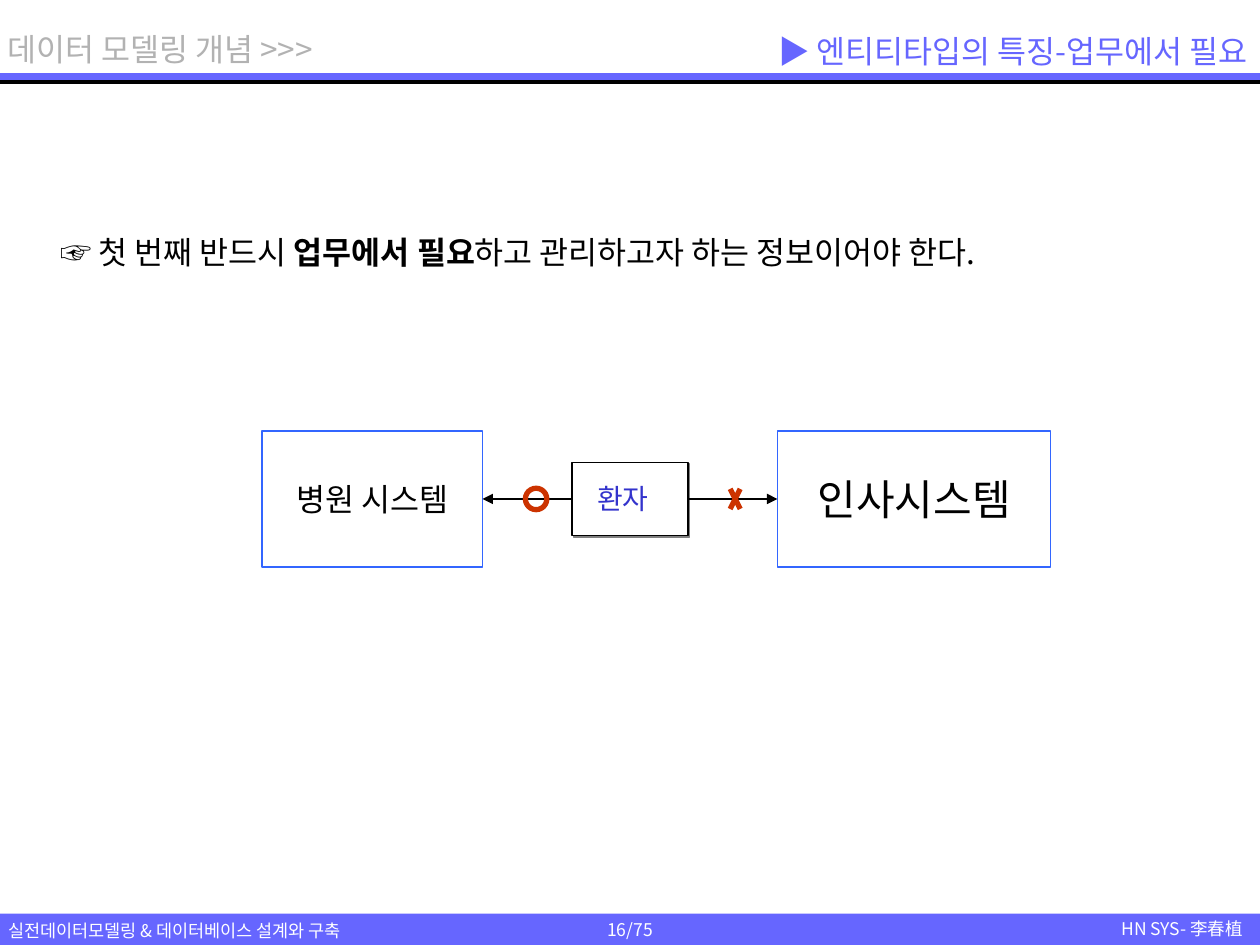
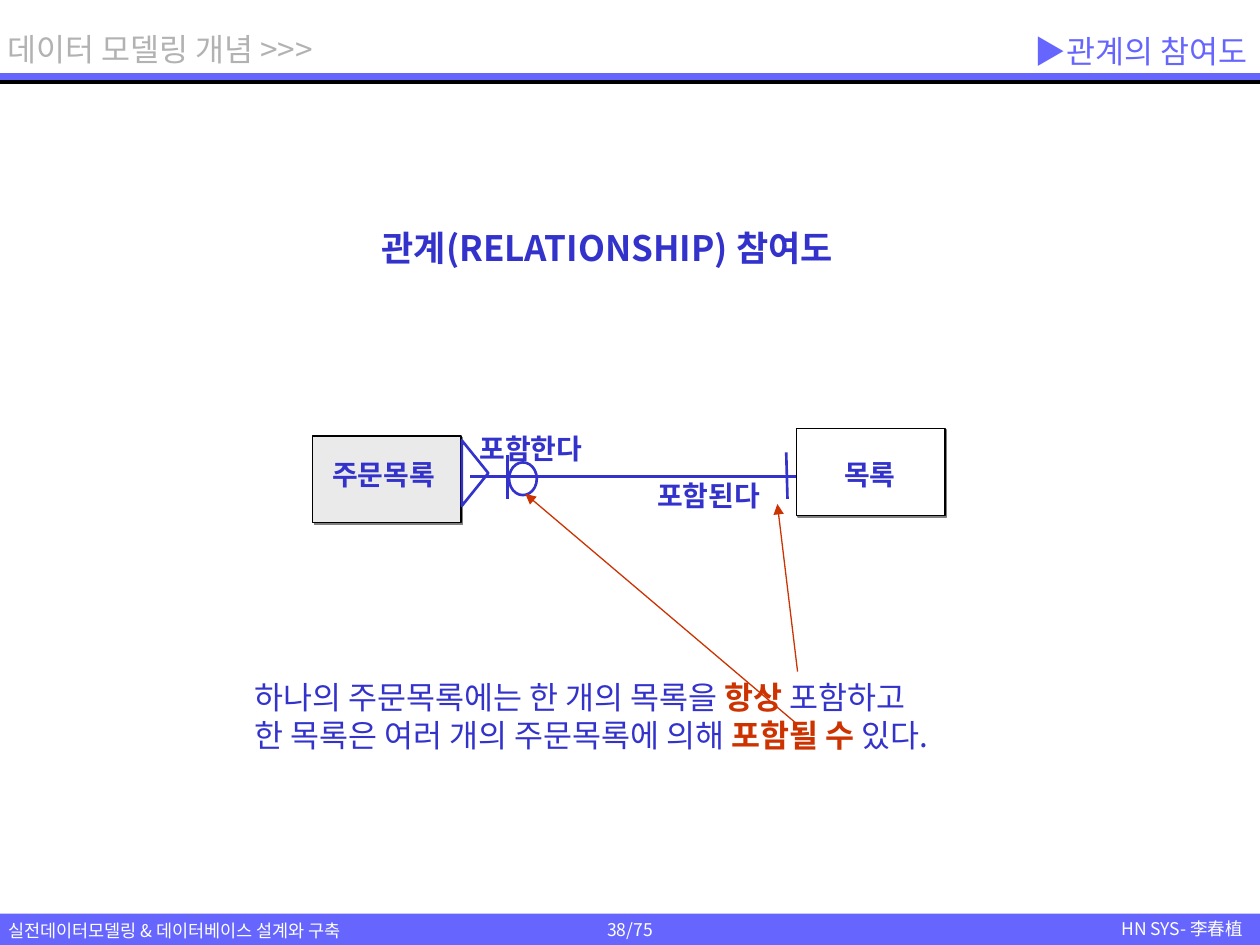
import collections

import lxml.etree
import pptx
import pptx.dml.color
import pptx.enum.shapes
import pptx.enum.text
import pptx.oxml.ns
import pptx.util

RGBColor = pptx.dml.color.RGBColor
PRESET = pptx.enum.shapes.MSO_SHAPE
ALIGN = pptx.enum.text.PP_ALIGN
ANCHOR = pptx.enum.text.MSO_ANCHOR
qn = pptx.oxml.ns.qn

FONT = "Noto Sans CJK KR"
BAND = RGBColor(0x66, 0x66, 0xFF)
CHAPTER_GRAY = RGBColor(0xB2, 0xB2, 0xB2)
SYSTEM_BLUE = RGBColor(0x33, 0x66, 0xFF)
INDIGO = RGBColor(0x33, 0x33, 0xCC)
RED = RGBColor(0xCC, 0x33, 0x00)
LIGHT_GRAY = RGBColor(0xEA, 0xEA, 0xEA)
SHADOW_GRAY = RGBColor(0x80, 0x80, 0x80)
BLACK = RGBColor(0, 0, 0)
WHITE = RGBColor(255, 255, 255)

SLIDE_WIDTH, SLIDE_HEIGHT = pptx.util.Inches(10), pptx.util.Inches(7.5)
COLUMN, ROW = SLIDE_WIDTH / 100, SLIDE_HEIGHT / 75
TITLE_ONLY = 5
LEFT, RIGHT = 1, 3
PAGE_COUNT = 75


class Box(collections.namedtuple("Box", "column row columns rows")):
    """An area measured in grid columns and rows."""

    def area(self, column, row, columns, rows):
        return Box(self.column + column, self.row + row, columns, rows)

    def point(self, column, row):
        return self.column + column, self.row + row

    def emu(self):
        return (round(self.column * COLUMN), round(self.row * ROW),
                round(self.columns * COLUMN), round(self.rows * ROW))


HEADER = Box(0, 0, 100, 6.6)
FOOTER = Box(0, 72.5, 100, 2.5)


def write(shape, *lines, size=18, color=BLACK, bold=False, accent=None,
          align=ALIGN.LEFT, anchor=ANCHOR.TOP, wrap=True):
    """Fill a shape with lines; words between ** are bold and in the accent colour."""
    frame = shape.text_frame
    frame.auto_size = pptx.enum.text.MSO_AUTO_SIZE.NONE
    frame.word_wrap = wrap
    frame.vertical_anchor = anchor
    for index, line in enumerate(lines):
        paragraph = frame.add_paragraph() if index else frame.paragraphs[0]
        paragraph.alignment = align
        for position, words in enumerate(line.split("**")):
            stressed = position % 2 == 1
            run = paragraph.add_run()
            run.text = words
            run.font.size = pptx.util.Pt(size)
            run.font.bold = bold or stressed
            run.font.color.rgb = accent if stressed and accent else color
            run.font.name = FONT
            east_asian = lxml.etree.SubElement(run.font._element, qn("a:ea"))
            east_asian.set("typeface", FONT)


def add_text(slide, box, *lines, **text_format):
    write(slide.shapes.add_textbox(*box.emu()), *lines, **text_format)


def add_preset(slide, preset, box, fill=None, line=None, width=0.75):
    shape = slide.shapes.add_shape(preset, *box.emu())
    shape.shadow.inherit = False
    if fill is None:
        shape.fill.background()
    else:
        shape.fill.solid()
        shape.fill.fore_color.rgb = fill
    if line is None:
        shape.line.fill.background()
    else:
        shape.line.color.rgb = line
        shape.line.width = pptx.util.Pt(width)
    return shape


def add_line(slide, start=(0, 0), end=(0, 0), color=BLACK, width=0.75, arrow=False):
    ends = [round(value * unit) for point in (start, end)
            for value, unit in zip(point, (COLUMN, ROW))]
    line = slide.shapes.add_connector(pptx.enum.shapes.MSO_CONNECTOR.STRAIGHT, *ends)
    line.line.color.rgb = color
    line.line.width = pptx.util.Pt(width)
    if arrow:
        tail = lxml.etree.SubElement(line.line._get_or_add_ln(), qn("a:tailEnd"))
        tail.set("type", "triangle")
    lxml.etree.SubElement(line._element.spPr, qn("a:effectLst"))
    return line


def add_entity(slide, box, fill=WHITE):
    """Draw a black-edged box with a hard shadow to the lower right."""
    entity = add_preset(slide, PRESET.RECTANGLE, box, fill, BLACK)
    effects = entity._element.spPr.find(qn("a:effectLst"))
    shadow = lxml.etree.SubElement(effects, qn("a:outerShdw"), blurRad="0",
                                   dist=str(pptx.util.Pt(1.4)), dir="2700000")
    lxml.etree.SubElement(shadow, qn("a:srgbClr"), val=str(SHADOW_GRAY))
    return entity


def add_header(slide, box, heading):
    add_preset(slide, PRESET.RECTANGLE, box.area(0, 5.8, box.columns, 0.6), BAND)
    for row in (6.4, 6.5, 6.6):
        add_line(slide, box.point(0, row), box.point(box.columns, row))
    add_text(slide, box.area(-0.4, 1.9, 28, 4), "데이터 모델링 개념 >>>", color=CHAPTER_GRAY)
    title = slide.shapes.title
    title.left, title.top, title.width, title.height = box.area(50, 1.9, 50, 4.3).emu()
    write(title, heading, color=BAND, align=ALIGN.RIGHT, anchor=ANCHOR.MIDDLE)


def add_footer(slide, box, page):
    style = dict(size=10, color=WHITE)
    band = add_preset(slide, PRESET.RECTANGLE, box, BAND)
    write(band, f"{page}/{PAGE_COUNT}", align=ALIGN.CENTER, anchor=ANCHOR.MIDDLE,
          wrap=False, **style)
    add_text(slide, box.area(-0.3, 0, 31.3, 2.7),
             "실전데이터모델링 & 데이터베이스 설계와 구축", **style)
    add_text(slide, box.area(86.3, -0.1, 13.3, 2.7), "HN SYS- 李春植",
             align=ALIGN.RIGHT, **style)


def add_page(deck, heading, page):
    slide = deck.slides.add_slide(deck.slide_layouts[TITLE_ONLY])
    add_header(slide, HEADER, heading)
    add_footer(slide, FOOTER, page)
    return slide


def add_patient_diagram(slide, box):
    """Show the patient entity as needed by the hospital but not by personnel."""
    middle = box.rows / 2
    centred = dict(align=ALIGN.CENTER, anchor=ANCHOR.MIDDLE, wrap=False)
    hospital = add_preset(slide, PRESET.RECTANGLE, box.area(0, 0, 17.5, box.rows),
                          line=SYSTEM_BLUE)
    write(hospital, "병원 시스템", **centred)
    personnel = add_preset(slide, PRESET.RECTANGLE,
                           box.area(40.9, 0, 21.7, box.rows), line=SYSTEM_BLUE)
    write(personnel, "인사시스템", size=24, **centred)
    patient = add_entity(slide, box.area(24.6, middle - 2.9, 9.2, 5.8))
    add_text(slide, box.area(24.8, 3.5, 7.7, 3.7), "환자", size=16, color=INDIGO,
             align=ALIGN.CENTER, wrap=False)

    for system, patient_side, system_side in ((hospital, LEFT, RIGHT),
                                              (personnel, RIGHT, LEFT)):
        need = add_line(slide, arrow=True)
        need.begin_connect(patient, patient_side)
        need.end_connect(system, system_side)

    add_preset(slide, PRESET.OVAL, box.area(20.9, middle - 0.85, 1.7, 1.7),
               line=RED, width=3)
    for slant in (-0.4, 0.4):
        add_line(slide, box.point(37.55 - slant, middle - 0.8),
                 box.point(37.55 + slant, middle + 0.8), RED, 3)


def add_participation_diagram(slide, box):
    """Relate order list and list, with marks for many, optional and mandatory."""
    ink = dict(color=INDIGO, width=1.5)
    outline = dict(line=INDIGO, width=1.5)
    add_entity(slide, box.area(0, 0.6, 11.8, 6.9), LIGHT_GRAY)
    add_entity(slide, box.area(38.4, 0, 11.8, 6.9))
    for label, column, row, columns in (("주문목록", 0.6, 1.8, 10.1),
                                        ("포함한다", 12.3, -0.2, 10.1),
                                        ("포함된다", 26.4, 3.5, 10.1),
                                        ("목록", 41.2, 1.8, 6.1)):
        add_text(slide, box.area(column, row, columns, 3.7), label, size=16,
                 color=INDIGO, bold=True, align=ALIGN.CENTER, wrap=False)

    add_preset(slide, PRESET.OVAL, box.area(15.6, 2.7, 2.2, 2.6), **outline)
    add_line(slide, box.point(12.5, 3.8), box.point(38.4, 3.8), **ink)
    add_line(slide, box.point(37.7, 5.6), box.point(37.6, 1.9), **ink)
    add_line(slide, box.point(15.5, 5.6), box.point(15.5, 2.1), **ink)
    many = add_preset(slide, PRESET.ISOSCELES_TRIANGLE,
                      box.area(10.3, 2.5, 5.2, 2.1), **outline)
    many.rotation = 90


def add_explanation(slide, box):
    add_text(slide, box,
             "하나의 주문목록에는 한 개의 목록을 **항상** 포함하고",
             "한 목록은 여러 개의 주문목록에 의해 **포함될 수** 있다.",
             color=INDIGO, accent=RED)
    for row, mark in ((0, (42.5, -13.3)), (4.2, (22.5, -14.1))):
        add_line(slide, box.point(44.1, row), box.point(*mark), RED, arrow=True)


def main():
    deck = pptx.Presentation()
    deck.slide_width, deck.slide_height = SLIDE_WIDTH, SLIDE_HEIGHT

    feature = add_page(deck, "▶ 엔티티타입의 특징-업무에서 필요", 16)
    add_text(feature, Box(3.8, 18, 92.5, 4),
             "☞ 첫 번째 반드시** 업무에서 필요**하고 관리하고자 하는 정보이어야 한다.")
    add_patient_diagram(feature, Box(20.8, 34.2, 62.6, 10.8))

    participation = add_page(deck, "▶관계의 참여도", 38)
    add_text(participation, Box(29.3, 17.5, 41.2, 4.4), "관계(RELATIONSHIP) 참여도",
             size=20, color=INDIGO, bold=True)
    add_participation_diagram(participation, Box(24.8, 34, 50.2, 7.5))
    add_explanation(participation, Box(19.2, 53.3, 62.4, 7))

    deck.save("out.pptx")


if __name__ == "__main__":
    main()
